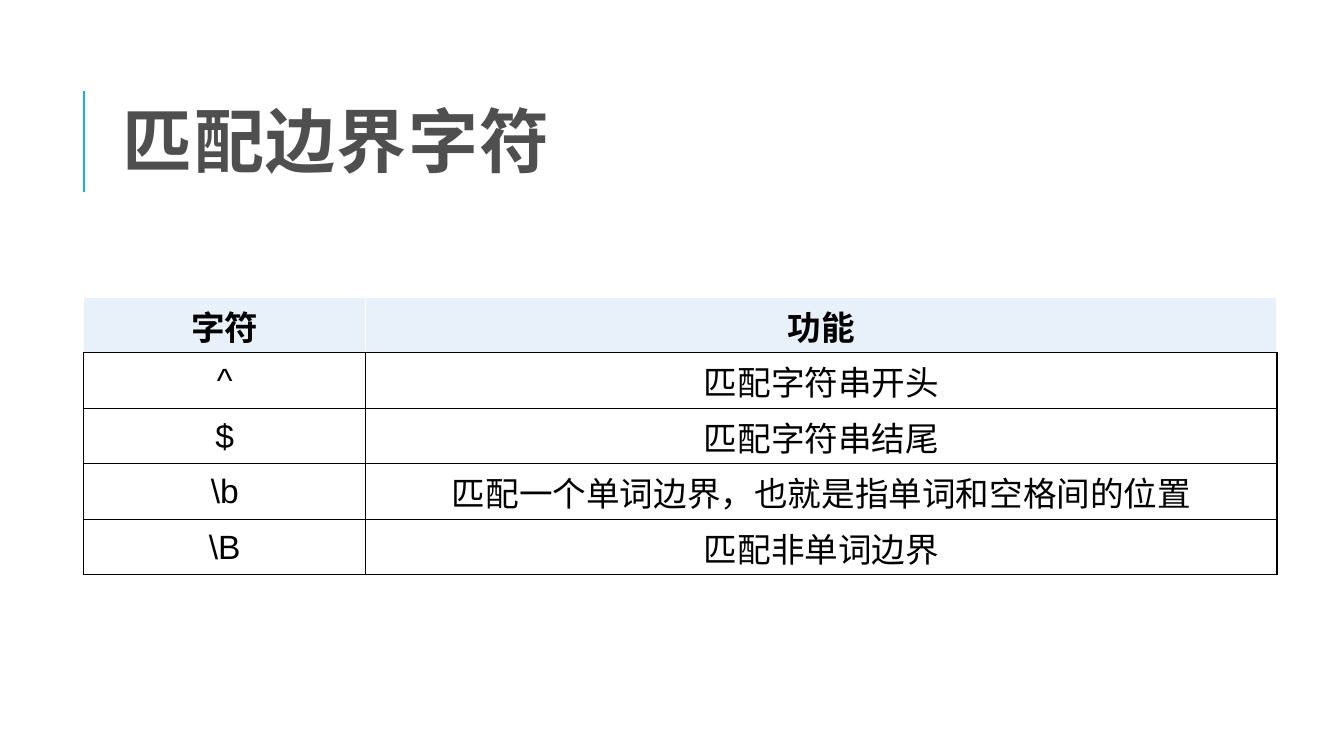
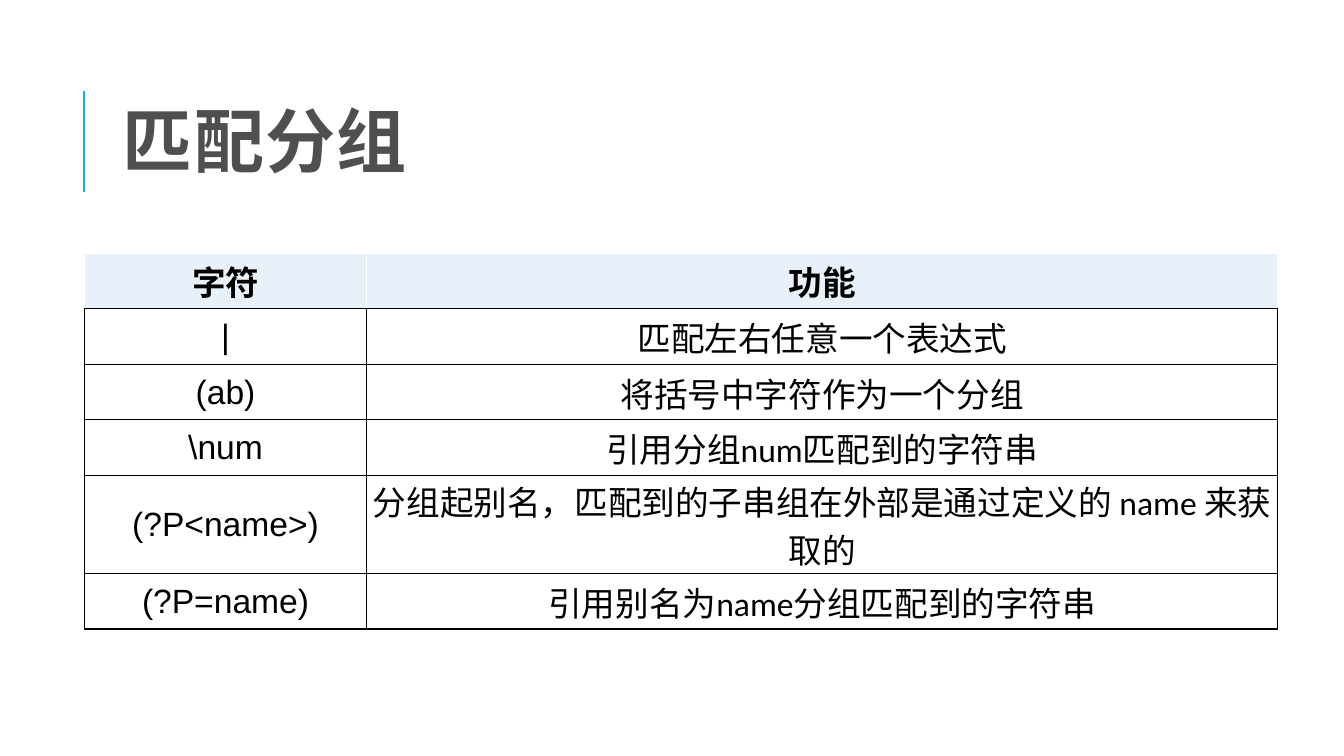
from dataclasses import dataclass

import pptx
import pptx.dml.color
import pptx.enum.shapes
import pptx.enum.text
import pptx.oxml
import pptx.oxml.ns
import pptx.presentation
import pptx.slide
import pptx.table
import pptx.text.text
import pptx.util

Cm = pptx.util.Cm
Pt = pptx.util.Pt
RGBColor = pptx.dml.color.RGBColor

ACCENT = RGBColor(0x1C, 0xAD, 0xE4)
TITLE_GRAY = RGBColor(0x4F, 0x4F, 0x4F)
HEADER_FILL = RGBColor(0xE8, 0xF1, 0xFA)
BLACK = RGBColor(0, 0, 0)
WHITE = RGBColor(0xFF, 0xFF, 0xFF)

CJK_FONT = "Noto Sans CJK SC"
SYMBOL_FONT = "Arial"
COLUMN_WIDTHS = (Cm(7.11), Cm(22.96))
ROW_HEIGHT = Cm(1.4)
HEADER = ("字符", "功能")


@dataclass(frozen=True)
class Topic:
    title: str
    left: float
    top: float
    text_font: str
    rows: tuple[tuple[str, str], ...]


TOPICS = (
    Topic("匹配边界字符", 2.11, 7.49, "Arial", (
        ("^", "匹配字符串开头"),
        ("$", "匹配字符串结尾"),
        (r"\b", "匹配一个单词边界，也就是指单词和空格间的位置"),
        (r"\B", "匹配非单词边界"),
    )),
    Topic("匹配分组", 2.13, 6.38, "Calibri", (
        ("|", "匹配左右任意⼀个表达式"),
        ("(ab)", "将括号中字符作为⼀个分组"),
        (r"\num", "引用分组num匹配到的字符串"),
        ("(?P<name>)", "分组起别名，匹配到的子串组在外部是通过定义的 name 来获取的"),
        ("(?P=name)", "引⽤别名为name分组匹配到的字符串"),
    )),
)


def add_run(p: pptx.text.text._Paragraph, text: str, font: str, size: int,
            color: RGBColor, bold: bool) -> pptx.text.text._Run:
    r = p.add_run()
    r.text = text
    r.font.size = Pt(size)
    r.font.bold = bold
    r.font.color.rgb = color
    r.font.name = font
    ea = pptx.oxml.parse_xml(
        f'<a:ea {pptx.oxml.ns.nsdecls("a")} typeface="{CJK_FONT}"/>')
    r._r.get_or_add_rPr().append(ea)
    return r


def add_title(s: pptx.slide.Slide, text: str) -> None:
    sp = s.shapes.title
    sp.left, sp.top, sp.width, sp.height = Cm(2.84), Cm(1.63), Cm(27), Cm(4.17)
    tf = sp.text_frame
    tf.auto_size = pptx.enum.text.MSO_AUTO_SIZE.NONE
    tf.vertical_anchor = pptx.enum.text.MSO_ANCHOR.MIDDLE
    p = tf.paragraphs[0]
    p.alignment = pptx.enum.text.PP_ALIGN.LEFT
    p.line_spacing = 0.8
    r = add_run(p, text, CJK_FONT, 50, TITLE_GRAY, True)
    r._r.get_or_add_rPr().set("spc", "100")


def add_title_rule(s: pptx.slide.Slide) -> None:
    line = s.shapes.add_connector(pptx.enum.shapes.MSO_CONNECTOR.STRAIGHT,
                                  Cm(2.12), Cm(4.83), Cm(2.12), Cm(2.29))
    line.line.color.rgb = ACCENT
    line.line.width = Pt(1.5)
    line._element.spPr.append(
        pptx.oxml.parse_xml(f'<a:effectLst {pptx.oxml.ns.nsdecls("a")}/>'))


def set_borders(cell: pptx.table._Cell, side: RGBColor, bottom: RGBColor) -> None:
    tcPr = cell._tc.get_or_add_tcPr()
    for edge, color in zip("LRTB", (side, side, side, bottom)):
        tcPr.append(pptx.oxml.parse_xml(
            f'<a:ln{edge} {pptx.oxml.ns.nsdecls("a")} w="{Pt(1)}"><a:solidFill>'
            f'<a:srgbClr val="{color}"/></a:solidFill></a:ln{edge}>'))


def fill_cell(cell: pptx.table._Cell, text: str, font: str, header: bool) -> None:
    set_borders(cell, WHITE if header else BLACK, BLACK)
    cell.fill.solid()
    cell.fill.fore_color.rgb = HEADER_FILL if header else WHITE
    cell.margin_left = cell.margin_right = cell.margin_top = Cm(0.02)
    cell.margin_bottom = 0
    cell.vertical_anchor = pptx.enum.text.MSO_ANCHOR.MIDDLE
    p = cell.text_frame.paragraphs[0]
    p.alignment = pptx.enum.text.PP_ALIGN.CENTER
    add_run(p, text, font, 24, BLACK, header)


def add_topic_table(s: pptx.slide.Slide, topic: Topic) -> None:
    rows = (HEADER, *topic.rows)
    table = s.shapes.add_table(
        len(rows), len(HEADER), Cm(topic.left), Cm(topic.top),
        sum(COLUMN_WIDTHS), ROW_HEIGHT * len(rows)).table
    table.first_row = table.horz_banding = False
    for column, width in zip(table.columns, COLUMN_WIDTHS):
        column.width = width
    for i, row in enumerate(rows):
        table.rows[i].height = ROW_HEIGHT
        for j, text in enumerate(row):
            font = SYMBOL_FONT if i and j == 0 else topic.text_font
            fill_cell(table.cell(i, j), text, font, i == 0)


def add_topic_slide(prs: pptx.presentation.Presentation, topic: Topic) -> None:
    s = prs.slides.add_slide(prs.slide_layouts.get_by_name("Title Only"))
    add_title_rule(s)
    add_title(s, topic.title)
    add_topic_table(s, topic)


def main() -> None:
    prs = pptx.Presentation()
    prs.slide_width, prs.slide_height = Cm(33.87), Cm(19.05)
    for topic in TOPICS:
        add_topic_slide(prs, topic)
    prs.save("out.pptx")


if __name__ == "__main__":
    main()
